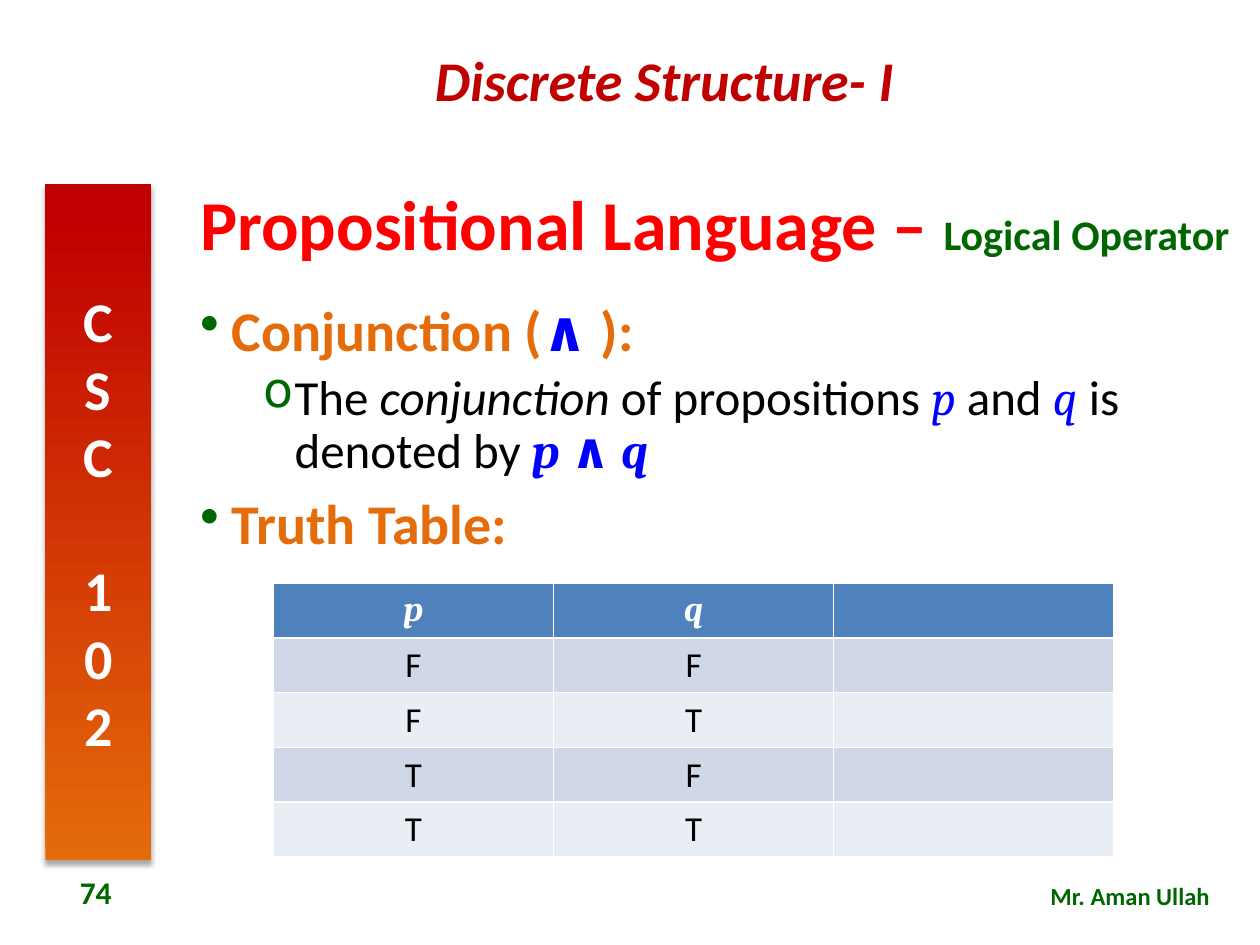
"""Build the slide on conjunction and its truth table."""
from lxml.etree import SubElement
from pptx import Presentation
from pptx.dml.color import RGBColor as Color
from pptx.enum.shapes import MSO_SHAPE as Shape
from pptx.enum.text import MSO_ANCHOR as Anchor, PP_ALIGN as Align
from pptx.oxml.ns import qn
from pptx.util import Inches, Pt

THEME = {
    "text": "Calibri", "math": "Cambria",
    "white": "FFFFFF", "black": "000000", "red": "FF0000", "crimson": "C00000",
    "orange": "E46C0A", "green": "006600", "blue": "0000FF",
    "header": "4F81BD", "bands": ("D0D8E8", "E9EDF4"),
    "title": 40, "heading": 32, "body": 28, "subtitle": 24, "cell": 20, "number": 18, "footer": 14,
}

deck = Presentation()
deck.slide_width, deck.slide_height = Inches(10), Inches(7.5)
COLUMN, ROW = deck.slide_width / 100, deck.slide_height / 75
page = deck.slides.add_slide(deck.slide_layouts[6])


def place(left, top, width, height):
    """Turn grid columns and rows into slide lengths."""
    return [round(n * unit) for n, unit in zip((left, top, width, height), (COLUMN, ROW) * 2)]


def write(para, text, size, color, font="text", bold=False, italic=False):
    """Add a formatted span to a paragraph."""
    span = para.add_run()
    span.text = text
    span.font.name = THEME[font]
    span.font.size = Pt(THEME[size])
    span.font.color.rgb = Color.from_string(THEME[color])
    span.font.bold, span.font.italic = bold, italic


strong = {"bold": True}
slanted = {"italic": True}
symbol = {"color": "blue", "font": "math"}

labels = [
    ((21.1, 3.1, 63.3, 6.4), Anchor.TOP, Align.CENTER, 1,
     [("Discrete Structure- I", {"size": "heading", "color": "crimson", "italic": True})]),
    ((68, 69.4, 29, 3.4), Anchor.TOP, Align.RIGHT, 1,
     [("Mr. Aman Ullah", {"size": "footer", "color": "green"})]),
    ((14.9, 13.6, 83.9, 8.9), Anchor.MIDDLE, Align.LEFT, 0.9,
     [("Propositional Language – ", {"size": "title", "color": "red"}),
      ("Logical Operator", {"size": "subtitle", "color": "green"})]),
    ((2.4, 68.8, 10.4, 4), Anchor.MIDDLE, Align.CENTER, 1,
     [("74", {"size": "number", "color": "green"})]),
]
for area, anchor, alignment, spacing, spans in labels:
    frame = page.shapes.add_textbox(*place(*area)).text_frame
    frame.word_wrap = True
    frame.vertical_anchor = anchor
    para = frame.paragraphs[0]
    para.alignment, para.line_spacing = alignment, spacing
    for text, style in spans:
        write(para, text, bold=True, **style)

course_bar = page.shapes.add_shape(Shape.RECTANGLE, *place(3.6, 14.6, 8.4, 53.7))
course_bar.shadow.inherit = False
course_bar.line.fill.background()
course_bar.fill.gradient()
course_bar.fill.gradient_angle = 90
for stop, position, color in zip(course_bar.fill.gradient_stops, (0, 0.95), ("orange", "crimson")):
    stop.position = position
    stop.color.rgb = Color.from_string(THEME[color])
effects = course_bar.element.spPr.find(qn("a:effectLst"))
shadow = SubElement(effects, qn("a:outerShdw"), blurRad=str(Pt(3.1)), dist=str(Pt(1.8)),
                    dir="5400000", rotWithShape="0")
shade = SubElement(shadow, qn("a:srgbClr"), val=THEME["black"])
SubElement(shade, qn("a:alpha"), val="35000")
frame = course_bar.text_frame
frame.vertical_anchor = Anchor.MIDDLE
course_bar.element.txBody.find(qn("a:bodyPr")).set("vert", "wordArtVert")
frame.paragraphs[0].alignment = Align.CENTER
write(frame.paragraphs[0], "CSC 102", "heading", "white", bold=True)

points = [
    (0, "•", 2.5, 0, Align.JUSTIFY, {"size": "heading", "color": "orange", "bold": True},
     [("Conjunction (", {}), ("∧", symbol), (" ):", {})]),
    (1, "o", 7.5, 5, Align.LEFT, {"size": "body", "color": "black"},
     [("The ", {}), ("conjunction", slanted), (" of propositions ", {}),
      ("p", symbol | slanted), (" and ", {}), ("q", symbol | slanted),
      (" is denoted by ", {}), ("p ", symbol | strong | slanted),
      ("∧ ", symbol | strong), ("q", symbol | strong | slanted)]),
    (0, "•", 2.5, 10, Align.LEFT, {"size": "heading", "color": "orange", "bold": True},
     [("Truth Table:", {})]),
]
frame = page.shapes.add_textbox(*place(14.9, 23.6, 83.9, 44)).text_frame
frame.word_wrap = True
for index, (level, bullet, indent, before, alignment, shared, spans) in enumerate(points):
    para = frame.add_paragraph() if index else frame.paragraphs[0]
    para.level, para.alignment = level, alignment
    para.line_spacing, para.space_before = 0.9, Pt(before)
    properties = para._p.get_or_add_pPr()
    properties.set("marL", str(round(indent * COLUMN)))
    properties.set("indent", str(round(-2.5 * COLUMN)))
    SubElement(SubElement(properties, qn("a:buClr")), qn("a:srgbClr"), val=THEME["green"])
    SubElement(properties, qn("a:buChar"), char=bullet)
    for text, style in spans:
        write(para, text, **(shared | style))

truth_rows = ["pq", "FF", "FT", "TF", "TT"]
truth_table = page.shapes.add_table(len(truth_rows), 3, *place(21.7, 46.3, 66.7, 21.7)).table
for r, values in enumerate(truth_rows):
    fill = THEME["bands"][(r - 1) % 2] if r else THEME["header"]
    style = {"color": "black"} if r else {"color": "white", "font": "math"} | strong | slanted
    for c in range(3):
        cell = truth_table.cell(r, c)
        cell.fill.solid()
        cell.fill.fore_color.rgb = Color.from_string(fill)
        if c < len(values):
            para = cell.text_frame.paragraphs[0]
            para.alignment = Align.CENTER
            write(para, values[c], "cell", **style)

deck.save("out.pptx")
